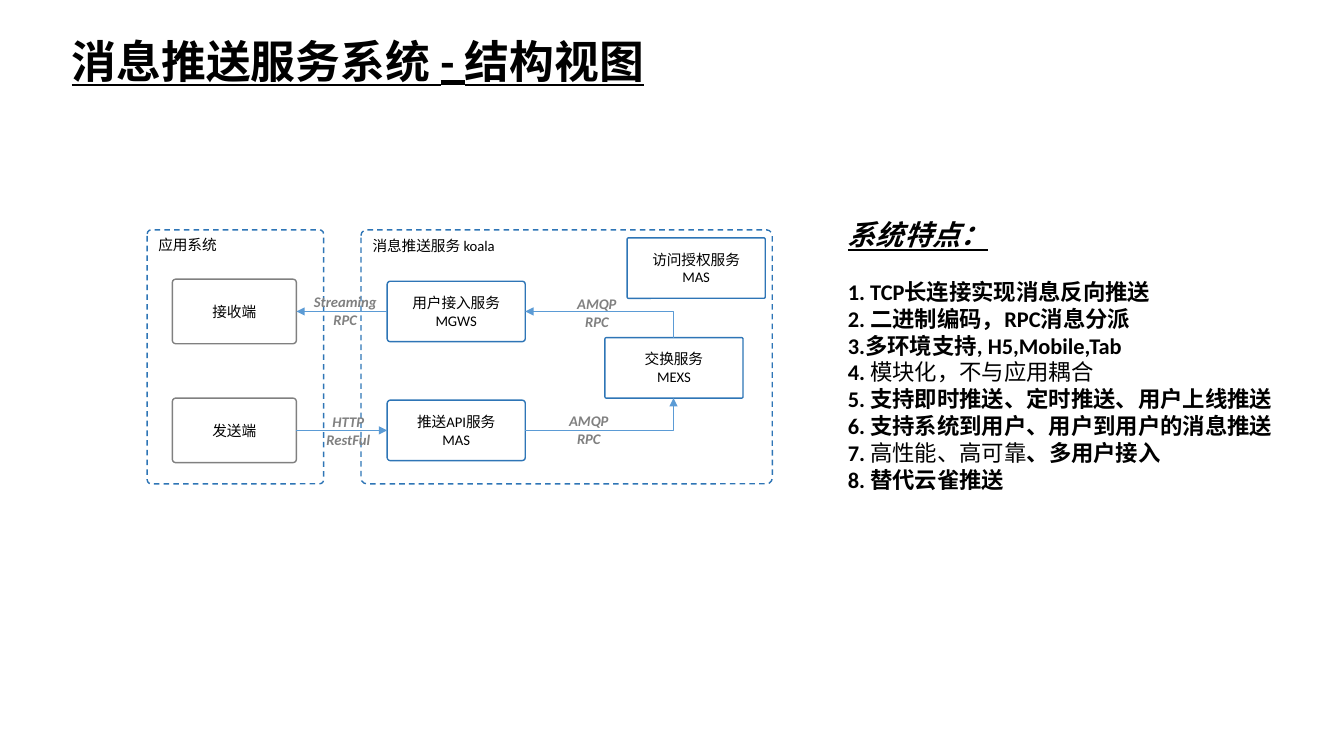
from lxml import etree
from pptx import Presentation
from pptx.dml.color import RGBColor
from pptx.enum.dml import MSO_LINE
from pptx.enum.shapes import MSO_CONNECTOR, MSO_SHAPE
from pptx.enum.text import MSO_ANCHOR, MSO_AUTO_SIZE, PP_ALIGN
from pptx.oxml.ns import qn
from pptx.util import Inches, Pt

BLACK = RGBColor(0x00, 0x00, 0x00)
WHITE = RGBColor(0xFF, 0xFF, 0xFF)
GRAY = RGBColor(0x80, 0x80, 0x80)
BLUE = RGBColor(0x2E, 0x75, 0xB6)
ARROW_BLUE = RGBColor(0x5B, 0x9B, 0xD5)
ROUND = MSO_SHAPE.ROUNDED_RECTANGLE
STRAIGHT, ELBOW = MSO_CONNECTOR.STRAIGHT, MSO_CONNECTOR.ELBOW
DASH = MSO_LINE.DASH
TOP, MIDDLE = MSO_ANCHOR.TOP, MSO_ANCHOR.MIDDLE
LEFT, CENTER = PP_ALIGN.LEFT, PP_ALIGN.CENTER
NO_FIT, GROW = MSO_AUTO_SIZE.NONE, MSO_AUTO_SIZE.SHAPE_TO_FIT_TEXT


def write(frame, paragraphs, align, size, color=BLACK, **styles):
    """Fill a frame; each paragraph is a list of (text, font values) runs."""
    for i, runs in enumerate(paragraphs):
        paragraph = frame.paragraphs[0] if i == 0 else frame.add_paragraph()
        paragraph.alignment = align
        for text, extra in runs:
            run = paragraph.add_run()
            run.text = text
            run.font.color.rgb = color
            values = {"name": "Calibri", "size": Pt(size), **styles, **extra}
            for key, value in values.items():
                setattr(run.font, key, value)


def add_box(x, y, w, h, lines, color, corner, is_frame=False):
    box = slide.shapes.add_shape(ROUND, Inches(x), Inches(y), Inches(w), Inches(h))
    box.adjustments[0] = corner
    box.shadow.inherit = False
    box.line.color.rgb = color
    box.line.width = Pt(1)
    if is_frame:
        box.fill.background()
        box.line.dash_style = DASH
    else:
        box.fill.solid()
        box.fill.fore_color.rgb = WHITE
    box.text_frame.vertical_anchor = TOP if is_frame else MIDDLE
    write(box.text_frame, [[(line, {})] for line in lines],
          LEFT if is_frame else CENTER, 10.5)
    return box


prs = Presentation()
prs.slide_width, prs.slide_height = Inches(13.33), Inches(7.5)
slide = prs.slides.add_slide(prs.slide_layouts[1])

# Title and feature list placeholders
title, features = slide.placeholders
for holder, (x, y, w, h) in ((title, (0.61, 0.28, 7.51, 0.64)),
                             (features, (8.31, 2.11, 4.9, 2.86))):
    holder.left, holder.top = Inches(x), Inches(y)
    holder.width, holder.height = Inches(w), Inches(h)
    holder.text_frame.auto_size = NO_FIT
    holder.text_frame.vertical_anchor = TOP

write(title.text_frame, [[("消息推送服务系统 - 结构视图", {})]], LEFT, 32,
      bold=True, underline=True)

PLAIN = {"bold": False}
feature_lines = [
    [("系统特点：", {"size": Pt(20), "italic": True, "underline": True})],
    [("1. TCP长连接实现消息反向推送", {})],
    [("2. 二进制编码，RPC消息分派", {})],
    [("3.多环境支持, H5,Mobile,Tab", {})],
    [("4.", {}), (" 模块化，不与应用耦合", PLAIN)],
    [("5. 支持即时推送、定时推送、用户上线推送", {})],
    [("6. 支持系统到用户、用户到用户的消息推送", {})],
    [("7. ", {}), ("高性能、高可靠", PLAIN), ("、多用户接入", {})],
    [("8. 替代云雀推送", {})],
]
write(features.text_frame, feature_lines, LEFT, 16, bold=True)
for paragraph in features.text_frame.paragraphs:
    paragraph.space_before = Pt(0)
    properties = paragraph._p.get_or_add_pPr()
    properties.set("marL", "0")
    properties.set("indent", "0")
    etree.SubElement(properties, qn("a:buNone"))
features.text_frame.paragraphs[0].space_after = Pt(19)

# Dashed system frames
for x, w, name in ((1.46, 1.75, "应用系统"), (3.58, 4.08, "消息推送服务 koala")):
    add_box(x, 2.28, w, 2.52, [name], BLUE, 0.023, is_frame=True)

# Application ends and services
APP_SIZE, SERVICE_SIZE = (1.23, 0.64), (1.37, 0.6)
receiver = add_box(1.71, 2.77, *APP_SIZE, ["接收端"], GRAY, 0.052)
sender = add_box(1.71, 3.95, *APP_SIZE, ["发送端"], GRAY, 0.052)
access = add_box(3.84, 2.79, *SERVICE_SIZE, ["用户接入服务", "MGWS"], BLUE, 0.052)
push_api = add_box(3.84, 3.97, *SERVICE_SIZE, ["推送API服务", "MAS"], BLUE, 0.052)
add_box(6, 3.35, *SERVICE_SIZE, ["交换服务", "MEXS"], BLUE, 0.023)
add_box(6.22, 2.36, *SERVICE_SIZE, ["访问授权服务", "MAS"], BLUE, 0.023)

# Message flows: kind, start, end, arrowhead, joined boxes with their sides
flows = [
    (STRAIGHT, (2.94, 4.27), (3.84, 4.27), "tailEnd", (sender, 3, push_api, 1)),
    (STRAIGHT, (3.84, 3.09), (2.94, 3.09), "tailEnd", (access, 1, receiver, 3)),
    (ELBOW, (5.21, 4.27), (6.68, 3.95), "tailEnd", None),
    (ELBOW, (5.21, 3.09), (6.68, 3.35), "headEnd", None),
]
for kind, start, end, arrowhead, joined in flows:
    flow = slide.shapes.add_connector(kind, *map(Inches, start + end))
    flow.line.color.rgb = ARROW_BLUE
    flow.line.width = Pt(0.5)
    if joined:
        flow.begin_connect(*joined[:2])
        flow.end_connect(*joined[2:])
    else:
        # One bend: across first, then up or down
        flow._element.spPr.find(qn("a:prstGeom")).set("prst", "bentConnector2")
    etree.SubElement(flow.line._get_or_add_ln(), qn("a:" + arrowhead), type="triangle")
    etree.SubElement(flow._element.spPr, qn("a:effectLst"))

# Protocol labels
for x, y, w, protocol in ((3.12, 4.05, 0.67, ["HTTP", "RestFul"]),
                          (3.01, 2.86, 0.83, ["Streaming", "RPC"]),
                          (5.54, 4.04, 0.6, ["AMQP", "RPC"]),
                          (5.62, 2.88, 0.6, ["AMQP", "RPC"])):
    label = slide.shapes.add_textbox(Inches(x), Inches(y), Inches(w), Inches(0.45))
    label.text_frame.word_wrap = False
    label.text_frame.auto_size = GROW
    write(label.text_frame, [[(line, {})] for line in protocol], CENTER, 10.5,
          GRAY, bold=True, italic=True)

prs.save("out.pptx")
